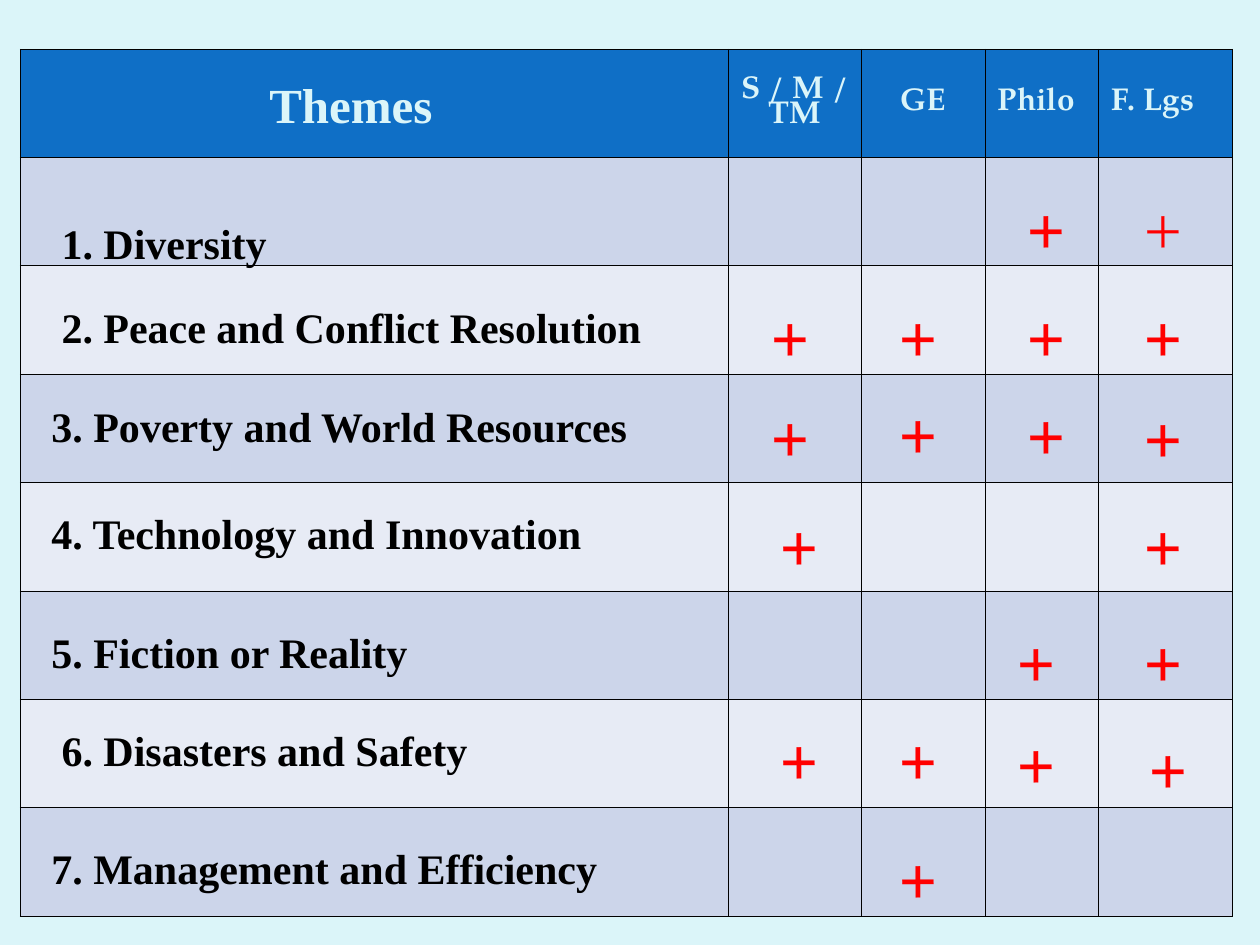
from lxml import etree
from pptx import Presentation
from pptx.dml.color import RGBColor
from pptx.enum.text import MSO_ANCHOR, PP_ALIGN
from pptx.oxml.ns import qn
from pptx.util import Inches, Pt

MIDDLE, TOP = MSO_ANCHOR.MIDDLE, MSO_ANCHOR.TOP
CENTER, LEFT = PP_ALIGN.CENTER, PP_ALIGN.LEFT

PALE = RGBColor(0xDB, 0xF5, 0xF9)
BLUE = RGBColor(0x0F, 0x6F, 0xC6)
BANDS = RGBColor(0xCC, 0xD5, 0xEA), RGBColor(0xE7, 0xEB, 0xF5)
BLACK = RGBColor(0, 0, 0)
RED = RGBColor(0xFF, 0, 0)

SERIF, BOOK = "Times New Roman", "TeX Gyre Pagella"
TITLE = {"name": SERIF, "size": Pt(28), "bold": True}
HEAD = {"name": BOOK, "size": Pt(18), "bold": True}
THEME = {"name": SERIF, "size": Pt(24), "bold": True}
MARK = {"name": BOOK, "size": Pt(30), "bold": True}
THIN = {**MARK, "bold": False}

WIDTHS = 5.62, 1.06, 0.98, 0.9, 1.06
HEADS = [
    (["Themes"], CENTER, TITLE),
    (["S / M /", "TM"], CENTER, HEAD),
    (["GE"], CENTER, HEAD),
    (["Philo"], LEFT, HEAD),
    (["F. Lgs"], LEFT, HEAD),
]
MARK_LEFTS = {"S": 6.02, "GE": 7.03, "Philo": 8.05, "Lgs": 8.98}
# theme, left, top, marked subjects with the shift of each mark
THEMES = [
    ("1. Diversity", 0.39, 1.48, {"Philo": (0, 0), "Lgs": (0, 0)}),
    ("2. Peace and Conflict Resolution", 0.39, 2.34,
     {"S": (0, 0), "GE": (0, 0), "Philo": (0, 0), "Lgs": (0, 0)}),
    ("3. Poverty and World Resources", 0.31, 3.13,
     {"S": (0, 0), "GE": (0, -0.02), "Philo": (0, -0.01), "Lgs": (0, 0.01)}),
    ("4. Technology and Innovation", 0.31, 3.98,
     {"S": (0.07, 0.02), "Lgs": (0, 0.02)}),
    ("5. Fiction or Reality", 0.31, 4.92, {"Philo": (-0.08, 0), "Lgs": (0, 0)}),
    ("6. Disasters and Safety", 0.39, 5.7,
     {"S": (0.07, 0), "GE": (0, 0), "Philo": (-0.08, 0.03), "Lgs": (0.04, 0.07)}),
    ("7. Management and Efficiency", 0.31, 6.64, {"GE": (0, 0)}),
]


def style(para, form, color):
    for key, value in form.items():
        setattr(para.font, key, value)
    para.font.color.rgb = color


def border(cell):
    props = cell._tc.get_or_add_tcPr()
    for side in ("lnL", "lnR", "lnT", "lnB"):
        line = etree.SubElement(props, qn(f"a:{side}"), w=str(Pt(0.45)))
        fill = etree.SubElement(line, qn("a:solidFill"))
        etree.SubElement(fill, qn("a:srgbClr"), val=str(BLACK))


def add_grid(slide, left, top, width, height):
    rows = len(THEMES) + 1
    table = slide.shapes.add_table(
        rows, len(WIDTHS), Inches(left), Inches(top), Inches(width), Inches(height)
    ).table
    for col, size in zip(table.columns, WIDTHS):
        col.width = Inches(size)
    for r in range(rows):
        for c in range(len(WIDTHS)):
            cell = table.cell(r, c)
            border(cell)
            cell.fill.solid()
            cell.fill.fore_color.rgb = BANDS[(r - 1) % 2] if r else BLUE
    for c, (lines, align, form) in enumerate(HEADS):
        fill_head(table.cell(0, c), lines, align, form)
    # The wide column's heading sits low and left of centre
    first = table.cell(0, 0)
    first.vertical_anchor = TOP
    first.margin_top, first.margin_right = Inches(0.24), Inches(0.47)


def fill_head(cell, lines, align, form):
    cell.vertical_anchor = MIDDLE
    cell.text = "\n".join(lines)
    for para in cell.text_frame.paragraphs:
        para.alignment = align
        if form is HEAD:
            para.line_spacing = 0.8
        style(para, form, PALE)


def add_text(slide, left, top, width, height, text, form, color):
    box = slide.shapes.add_textbox(
        Inches(left), Inches(top), Inches(width), Inches(height)
    )
    box.text_frame.word_wrap = True
    para = box.text_frame.paragraphs[0]
    para.text = text
    style(para, form, color)
    return para


def add_themes(slide):
    for i, (name, left, top, marks) in enumerate(THEMES):
        para = add_text(slide, left, top, 5.2, 0.5, name, THEME, BLACK)
        if i == 0:
            para.line_spacing = 1.5
        for key, (dx, dy) in marks.items():
            form = THIN if (i, key) == (0, "Lgs") else MARK
            add_text(slide, MARK_LEFTS[key] + dx, top + dy, 0.63, 0.6, "+", form, RED)


def main():
    deck = Presentation()
    deck.slide_width, deck.slide_height = Inches(10), Inches(7.5)
    slide = deck.slides.add_slide(deck.slide_layouts[6])
    slide.background.fill.solid()
    slide.background.fill.fore_color.rgb = PALE
    add_grid(slide, 0.16, 0.39, sum(WIDTHS), 6.88)
    add_themes(slide)
    deck.save("out.pptx")


if __name__ == "__main__":
    main()
